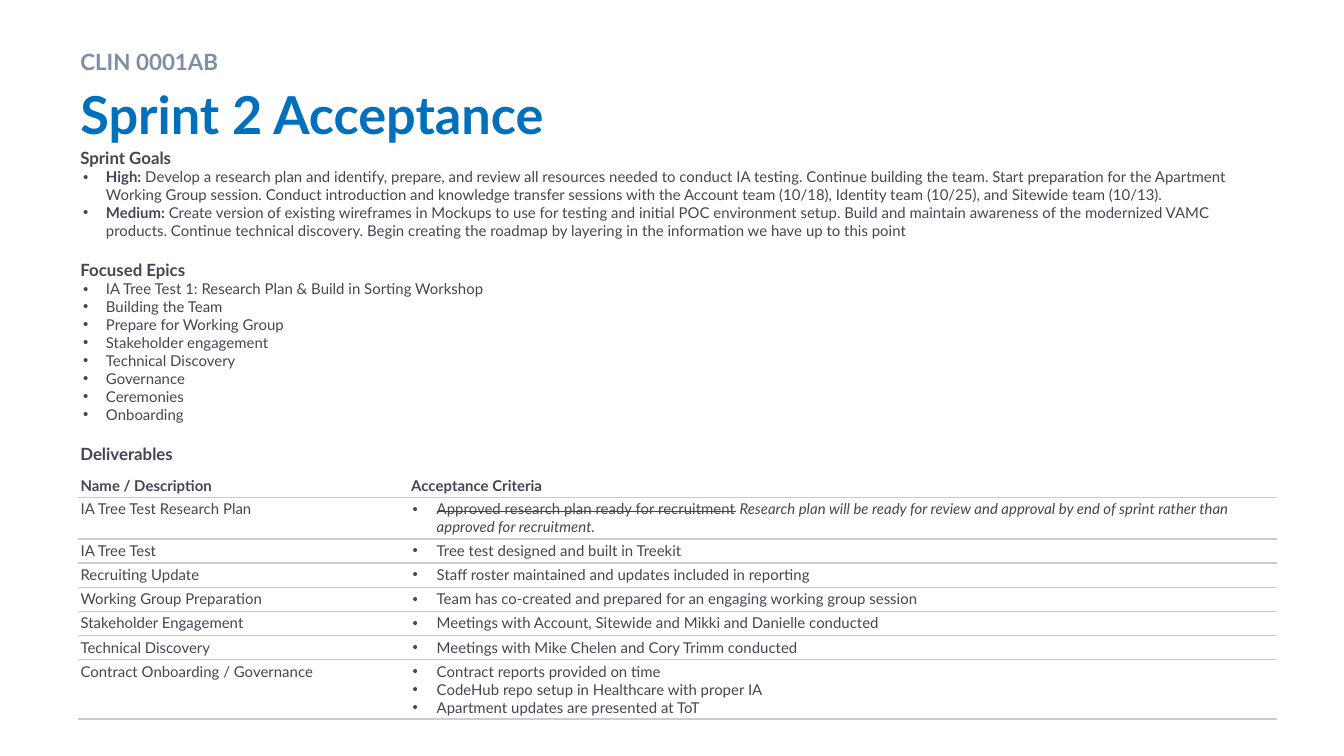
from lxml import etree
from pptx import Presentation
from pptx.dml.color import RGBColor as RGB
from pptx.enum.text import MSO_ANCHOR as Anchor
from pptx.oxml.ns import qn
from pptx.util import Inches, Pt


class Theme:
    font = "Lato"
    ink, blue, slate, rule = "454454", "0070BC", "7F8EA3", "CCCCCC"
    title, label, head, body = 28, 12, 9, 8


def write(par, runs, size, color=Theme.ink, hang=None):
    """Fill a paragraph with (text, flags) runs: b bold, i italic, s struck."""
    if hang:
        props = par._p.get_or_add_pPr()
        props.set("marL", str(Inches(0.19)))
        props.set("indent", str(-Inches(hang)))
        tint = etree.SubElement(props, qn("a:buClr"))
        etree.SubElement(tint, qn("a:srgbClr")).set("val", Theme.ink)
        etree.SubElement(props, qn("a:buFont")).set("typeface", "Arial")
        etree.SubElement(props, qn("a:buChar")).set("char", "•")
    for text, flags in runs:
        run = par.add_run()
        run.text = text
        font = run.font
        font.name, font.size = Theme.font, Pt(size)
        font.color.rgb = RGB.from_string(color)
        font.bold, font.italic = "b" in flags, "i" in flags
        if "s" in flags:
            run._r.get_or_add_rPr().set("strike", "sngStrike")


def add_box(top, high, inset):
    """Add a full-width text box and return its text frame."""
    frame = slide.shapes.add_textbox(
        Inches(0.5), Inches(top), Inches(9), Inches(high)).text_frame
    frame.word_wrap = True
    frame.margin_top = frame.margin_bottom = Inches(inset)
    return frame


# Slide in 16:9
deck = Presentation()
deck.slide_width, deck.slide_height = Inches(10), Inches(10 * 9 / 16)
slide = deck.slides.add_slide(deck.slide_layouts[6])

# Label and title
label = add_box(0.27, 0.29, 0.05).paragraphs[0]
label.line_spacing = 1.2
write(label, [("CLIN 0001AB", "b")], Theme.label, Theme.slate)
title = add_box(0.56, 0.69, 0.05).paragraphs[0]
write(title, [("Sprint 2 Acceptance", "b")], Theme.title, Theme.blue)

# Goals, epics and the heading of the table
goals = [
    [("High:", "b"),
     (" Develop a research plan and identify, prepare, and review all resources "
      "needed to conduct IA testing. Continue building the team. Start preparation "
      "for the Apartment Working Group session. Conduct introduction and knowledge "
      "transfer sessions with the Account team (10/18), Identity team (10/25), and "
      "Sitewide team (10/13).", "")],
    [("Medium: ", "b"),
     ("Create version of existing wireframes in Mockups to use for testing and "
      "initial POC environment setup. Build and maintain awareness of the modernized "
      "VAMC products. Continue technical discovery. Begin creating the roadmap by "
      "layering in the information we have up to this point", "")],
]
epics = [
    "IA Tree Test 1: Research Plan & Build in Sorting Workshop",
    "Building the Team", "Prepare for Working Group", "Stakeholder engagement",
    "Technical Discovery", "Governance", "Ceremonies", "Onboarding",
]
parts = [
    ("Sprint Goals", goals),
    ("Focused Epics", [[(epic, "")] for epic in epics]),
    ("Deliverables", []),
]
frame = add_box(1, 2.58, 0.1)
for num, (head, items) in enumerate(parts):
    par = frame.add_paragraph() if num else frame.paragraphs[0]
    if num:
        par.space_before = Pt(10.8)
    write(par, [(head, "b")], Theme.head)
    for item in items:
        write(frame.add_paragraph(), item, Theme.body, hang=0.17)

# Deliverables: name, criteria, row height
rows = [
    ("Name / Description", ["Acceptance Criteria"], 0.18),
    ("IA Tree Test Research Plan", [], 0.31),
    ("IA Tree Test", ["Tree test designed and built in Treekit"], 0.18),
    ("Recruiting Update",
     ["Staff roster maintained and updates included in reporting"], 0.18),
    ("Working Group Preparation",
     ["Team has co-created and prepared for an engaging working group session"], 0.18),
    ("Stakeholder Engagement",
     ["Meetings with Account, Sitewide and Mikki and Danielle conducted"], 0.18),
    ("Technical Discovery",
     ["Meetings with Mike Chelen and Cory Trimm conducted"], 0.18),
    ("Contract Onboarding / Governance",
     ["Contract reports provided on time",
      "CodeHub repo setup in Healthcare with proper IA",
      "Apartment updates are presented at ToT"], 0.44),
]
change = [
    ("Approved research plan ready for recruitment", "s"), (" ", ""),
    ("Research plan will be ready for review and approval by end of sprint "
     "rather than approved for recruitment.", "i"),
]
widths = [2.46, 6.46]
table = slide.shapes.add_table(
    len(rows), 2, Inches(0.58), Inches(3.52), Inches(sum(widths)),
    Inches(sum(row[2] for row in rows))).table
table.first_row = table.horz_banding = False
for col, width in zip(table.columns, widths):
    col.width = Inches(width)

for num, (name, tests, high) in enumerate(rows):
    table.rows[num].height = Inches(high)
    flags = "" if num else "b"
    lines = [[(test, flags)] for test in tests] or [change]
    for col, texts in enumerate([[[(name, flags)]], lines]):
        cell = table.cell(num, col)
        cell.margin_left = cell.margin_right = Inches(0.02)
        cell.margin_top = cell.margin_bottom = Inches(0.02)
        cell.vertical_anchor = Anchor.TOP if num else Anchor.BOTTOM
        hang = 0.18 if num and col else None
        for pos, runs in enumerate(texts):
            text = cell.text_frame
            par = text.add_paragraph() if pos else text.paragraphs[0]
            write(par, runs, Theme.body, hang=hang)

        # Rules between rows only
        props = cell._tc.get_or_add_tcPr()
        for side in "LRTB":
            line = etree.SubElement(props, qn(f"a:ln{side}"))
            line.set("w", str(Pt(0.75)))
            if side == "B" or side == "T" and num:
                fill = etree.SubElement(line, qn("a:solidFill"))
                etree.SubElement(fill, qn("a:srgbClr")).set("val", Theme.rule)
            else:
                etree.SubElement(line, qn("a:noFill"))
        cell.fill.background()

deck.save("out.pptx")
